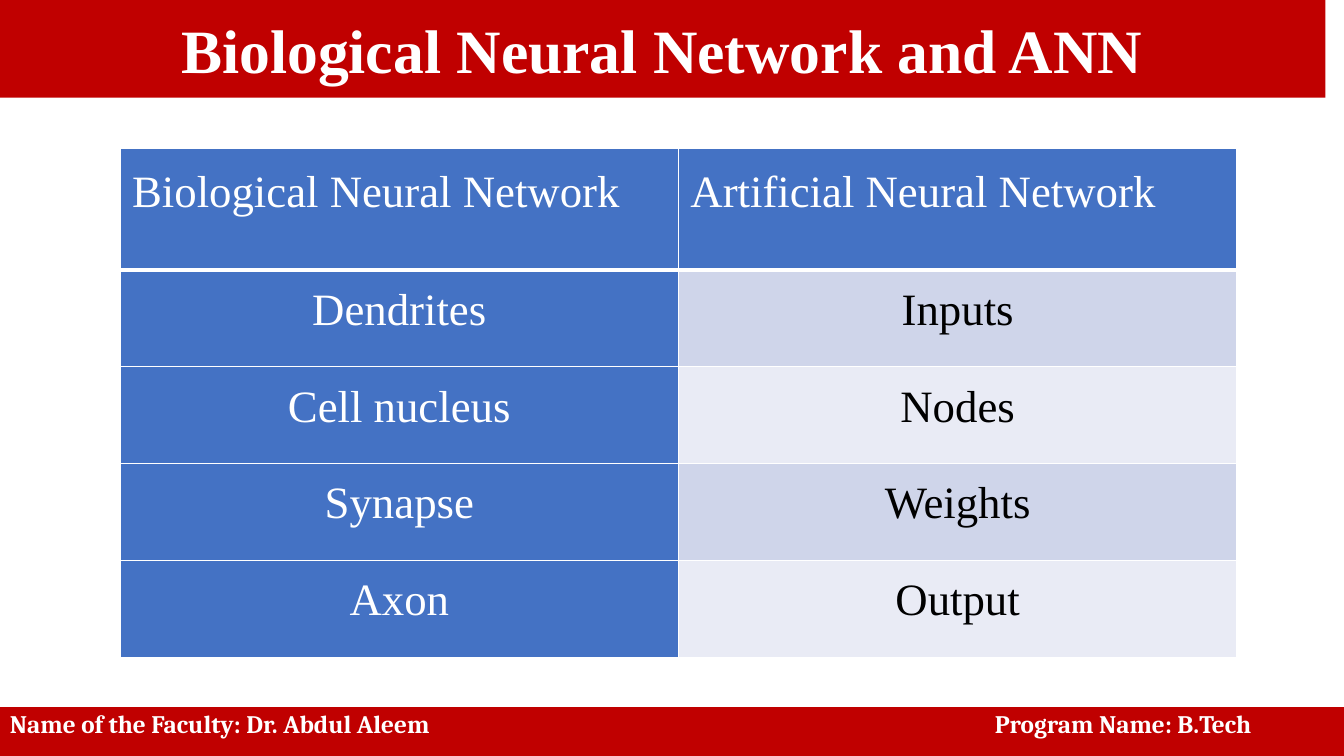
from pptx import Presentation
from pptx import util as u
from pptx.dml.color import RGBColor
from pptx.enum import shapes, text
from pptx.oxml import parse_xml
from pptx.oxml import ns

RED = RGBColor(0xC0, 0x00, 0x00)
BLUE = RGBColor(0x44, 0x72, 0xC4)
DARK_BAND = RGBColor(0xCF, 0xD5, 0xEA)
LIGHT_BAND = RGBColor(0xE9, 0xEB, 0xF5)
WHITE = RGBColor(0xFF, 0xFF, 0xFF)
BLACK = RGBColor(0x00, 0x00, 0x00)

SERIF = "Times New Roman"
FOOTER_FONT = "Cambria"
SLIDE_WIDTH, SLIDE_HEIGHT = 33.87, 19.05

PAIRS = [
    ("Biological Neural Network", "Artificial Neural Network"),
    ("Dendrites", "Inputs"),
    ("Cell nucleus", "Nodes"),
    ("Synapse", "Weights"),
    ("Axon", "Output"),
]


class SlideBuilder:
    def __init__(self, slide):
        self.slide = slide

    def put_text(self, frame, words, font, size, color, align, spacing, bold=False):
        frame.text = words
        paragraph = frame.paragraphs[0]
        paragraph.alignment = align
        paragraph.line_spacing = spacing
        for run in paragraph.runs:
            run.font.name = font
            run.font.size = u.Pt(size)
            run.font.bold = bold
            run.font.color.rgb = color
        return paragraph

    def banner(self, top, width, height, words, font, size, align, anchor, spacing):
        band = self.slide.shapes.add_shape(
            shapes.MSO_SHAPE.RECTANGLE, u.Cm(0), u.Cm(top), u.Cm(width), u.Cm(height))
        band.shadow.inherit = False
        band.fill.solid()
        band.fill.fore_color.rgb = RED
        band.line.fill.background()
        band.text_frame.word_wrap = True
        band.text_frame.vertical_anchor = anchor
        return self.put_text(band.text_frame, words, font, size, WHITE, align, spacing, True)

    def tab_stop(self, paragraph, position):
        tabs = parse_xml(
            f'<a:tabLst {ns.nsdecls("a")}><a:tab pos="{u.Cm(position)}" algn="l"/></a:tabLst>')
        paragraph._p.get_or_add_pPr().append(tabs)

    def borders(self, cell, bottom):
        properties = cell._tc.get_or_add_tcPr()
        for side, width in (("L", 1), ("R", 1), ("T", 1), ("B", bottom)):
            properties.append(parse_xml(
                f'<a:ln{side} {ns.nsdecls("a")} w="{u.Pt(width)}">'
                f'<a:solidFill><a:srgbClr val="{WHITE}"/></a:solidFill></a:ln{side}>'))

    def cell(self, cell, words, fill, color, align, margin, bottom):
        self.borders(cell, bottom)
        cell.fill.solid()
        cell.fill.fore_color.rgb = fill
        cell.margin_left = cell.margin_right = u.Cm(margin)
        cell.margin_top = cell.margin_bottom = u.Cm(margin)
        self.put_text(cell.text_frame, words, SERIF, 32, color, align, 1.15)

    def comparison(self, left, top, column_width, header_height, row_height, pairs):
        height = header_height + row_height * (len(pairs) - 1)
        table = self.slide.shapes.add_table(
            len(pairs), 2, u.Cm(left), u.Cm(top), u.Cm(2 * column_width), u.Cm(height)).table
        for column in table.columns:
            column.width = u.Cm(column_width)
        for r, pair in enumerate(pairs):
            header = r == 0
            table.rows[r].height = u.Cm(header_height if header else row_height)
            align = text.PP_ALIGN.LEFT if header else text.PP_ALIGN.CENTER
            margin, bottom = (0.3, 3) if header else (0.2, 1)
            for c, words in enumerate(pair):
                if header or c == 0:
                    fill, color = BLUE, WHITE
                else:
                    fill, color = (DARK_BAND if r % 2 else LIGHT_BAND), BLACK
                self.cell(table.cell(r, c), words, fill, color, align, margin, bottom)


def main():
    deck = Presentation()
    deck.slide_width, deck.slide_height = u.Cm(SLIDE_WIDTH), u.Cm(SLIDE_HEIGHT)
    builder = SlideBuilder(deck.slides.add_slide(deck.slide_layouts[6]))

    builder.banner(0, 33.4, 2.46, "Biological Neural Network and ANN", SERIF, 44,
                   text.PP_ALIGN.CENTER, text.MSO_ANCHOR.MIDDLE, 1.0)
    builder.comparison(3.03, 3.73, 14.07, 3.07, 2.44, PAIRS)
    footer = builder.banner(17.82, SLIDE_WIDTH, 1.23,
                            "Name of the Faculty: Dr. Abdul Aleem\tProgram Name: B.Tech",
                            FOOTER_FONT, 18, text.PP_ALIGN.LEFT, text.MSO_ANCHOR.TOP, 0.9)
    builder.tab_stop(footer, 24.82)

    deck.save("out.pptx")


if __name__ == "__main__":
    main()
